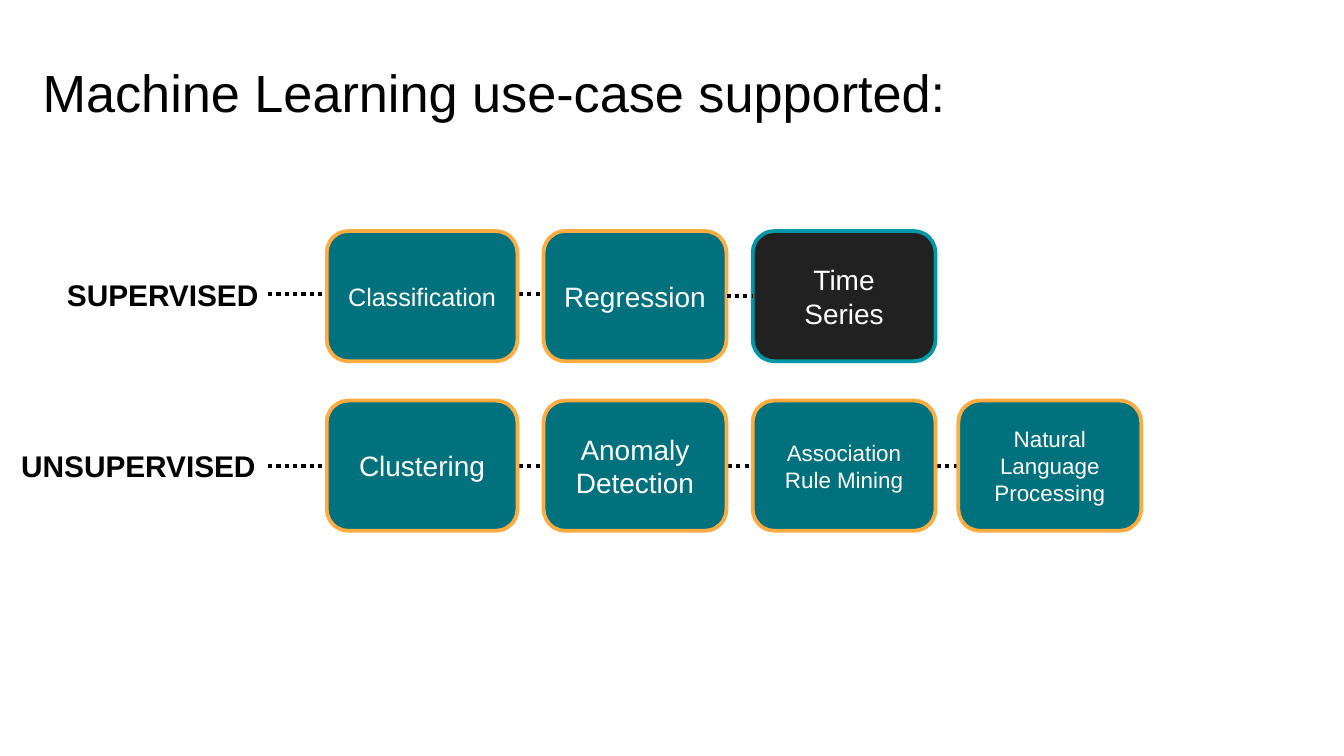
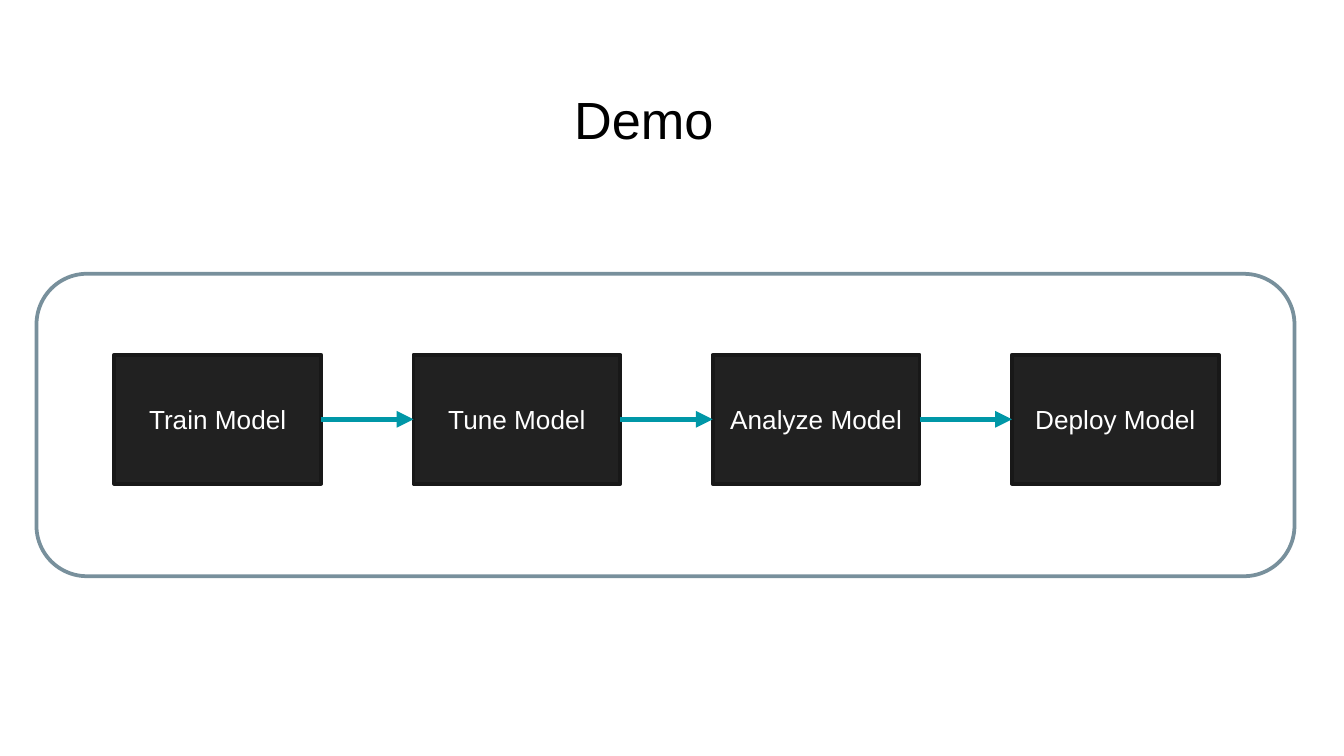
from dataclasses import dataclass

from lxml import etree
from pptx import Presentation
from pptx.dml.color import RGBColor
from pptx.enum import dml, shapes, text
from pptx.oxml import ns
from pptx.shapes.autoshape import Shape
from pptx.shapes.connector import Connector
from pptx.slide import Slide
from pptx.util import Pt

FONT = "Arial"
BLACK = RGBColor(0x00, 0x00, 0x00)
WHITE = RGBColor(0xFF, 0xFF, 0xFF)
TEAL = RGBColor(0x00, 0x71, 0x7D)
CYAN = RGBColor(0x00, 0x97, 0xA7)
ORANGE = RGBColor(0xFF, 0xAB, 0x40)
CHARCOAL = RGBColor(0x21, 0x21, 0x21)
EDGE = RGBColor(0x18, 0x18, 0x18)
SLATE = RGBColor(0x78, 0x90, 0x9C)

ROUND = shapes.MSO_SHAPE.ROUNDED_RECTANGLE
RECT = shapes.MSO_SHAPE.RECTANGLE
LEFT_SIDE, RIGHT_SIDE = 1, 3


@dataclass(frozen=True)
class Area:
    x: float
    y: float
    w: float
    h: float

    def lengths(self) -> list[Pt]:
        return [Pt(v) for v in (self.x, self.y, self.w, self.h)]


@dataclass(frozen=True)
class Look:
    kind: shapes.MSO_SHAPE
    fill: RGBColor | None
    line: RGBColor


@dataclass(frozen=True)
class UseCase:
    name: str
    size: float
    look: Look


@dataclass(frozen=True)
class Family:
    label: str
    label_x: float
    label_w: float
    label_y: float
    top: float
    line_y: float
    line_end: float
    cases: tuple[UseCase, ...]


SUPPORTED = Look(ROUND, TEAL, ORANGE)
UPCOMING = Look(ROUND, CHARCOAL, CYAN)
STEP = Look(RECT, CHARCOAL, EDGE)
FRAME = Look(ROUND, None, SLATE)

COLUMNS = ((175, 102.2), (291.2, 98), (403.2, 98), (513.4, 98))
CASE_H = 69.8
LINE_START = 143.6

SUPERVISED = Family("SUPERVISED", 28.8, 118, 144.7, 123.8, 157.7, 378, (
    UseCase("Classification", 13.5, SUPPORTED),
    UseCase("Regression", 15, SUPPORTED),
    UseCase("Time Series", 15, UPCOMING),
))
UNSUPERVISED = Family("UNSUPERVISED", 4.3, 141.8, 236.2, 214.6, 249.5, 513.4, (
    UseCase("Clustering", 15, SUPPORTED),
    UseCase("Anomaly Detection", 15, SUPPORTED),
    UseCase("Association Rule Mining", 12, SUPPORTED),
    UseCase("Natural Language Processing", 12, SUPPORTED),
))

STEPS = ("Train Model", "Tune Model", "Analyze Model", "Deploy Model")
STEP_X, STEP_PITCH = 61.2, 160.3


def write(sp: Shape, words: str, size: float, color: RGBColor,
          align: text.PP_ALIGN, bold: bool = False) -> None:
    p = sp.text_frame.paragraphs[0]
    p.text = words
    p.alignment = align
    p.font.name = FONT
    p.font.size = Pt(size)
    p.font.bold = bold
    p.font.color.rgb = color


def add_title(s: Slide, words: str, area: Area, align: text.PP_ALIGN) -> None:
    sp = s.shapes.add_textbox(*area.lengths())
    tf = sp.text_frame
    tf.word_wrap = True
    tf.margin_left = tf.margin_right = tf.margin_top = tf.margin_bottom = Pt(7.2)
    write(sp, words, 28, BLACK, align)


def add_label(s: Slide, family: Family) -> None:
    area = Area(family.label_x, family.label_y, family.label_w, 26.6)
    sp = s.shapes.add_textbox(*area.lengths())
    sp.text_frame.word_wrap = False
    sp.text_frame.auto_size = text.MSO_AUTO_SIZE.SHAPE_TO_FIT_TEXT
    write(sp, family.label, 16, BLACK, text.PP_ALIGN.LEFT, bold=True)


def add_box(parent, area: Area, look: Look, words: str = "", size: float = 14) -> Shape:
    sp = parent.shapes.add_shape(look.kind, *area.lengths())
    sp.shadow.inherit = False
    if look.fill is None:
        sp.fill.background()
    else:
        sp.fill.solid()
        sp.fill.fore_color.rgb = look.fill
    sp.line.color.rgb = look.line
    sp.line.width = Pt(2)
    if words:
        sp.text_frame.word_wrap = True
        sp.text_frame.vertical_anchor = text.MSO_ANCHOR.MIDDLE
        write(sp, words, size, WHITE, text.PP_ALIGN.CENTER)
    return sp


def add_line(parent, x1: float, x2: float, y: float, color: RGBColor, width: float) -> Connector:
    cxn = parent.shapes.add_connector(
        shapes.MSO_CONNECTOR.STRAIGHT, Pt(x1), Pt(y), Pt(x2), Pt(y))
    cxn.line.color.rgb = color
    cxn.line.width = Pt(width)
    etree.SubElement(cxn._element.spPr, ns.qn("a:effectLst"))
    return cxn


def add_dots(s: Slide, x1: float, x2: float, y: float) -> Connector:
    cxn = add_line(s, x1, x2, y, BLACK, 2.25)
    cxn.line.dash_style = dml.MSO_LINE.ROUND_DOT
    return cxn


def add_arrow(parent, start: Shape, end: Shape) -> None:
    cxn = add_line(parent, 0, 0, 0, CYAN, 3)
    cxn.begin_connect(start, RIGHT_SIDE)
    cxn.end_connect(end, LEFT_SIDE)
    etree.SubElement(cxn.line._get_or_add_ln(), ns.qn("a:tailEnd"), type="triangle")


def add_cases(s: Slide, family: Family) -> list[Shape]:
    return [
        add_box(s, Area(x, family.top, w, CASE_H), case.look, case.name, case.size)
        for (x, w), case in zip(COLUMNS, family.cases)
    ]


def build_use_cases(s: Slide) -> None:
    families = (SUPERVISED, UNSUPERVISED)
    dots = [add_dots(s, LINE_START, f.line_end, f.line_y) for f in families]
    add_title(s, "Machine Learning use-case supported:",
              Area(15.8, 25.2, 561.6, 45.4), text.PP_ALIGN.LEFT)
    rows = [add_cases(s, f) for f in families]
    for family in families:
        add_label(s, family)
    dots[1].end_connect(rows[1][-1], LEFT_SIDE)
    regression, time_series = rows[0][1:]
    link = add_dots(s, 0, 0, 0)
    link.begin_connect(regression, RIGHT_SIDE)
    link.end_connect(time_series, LEFT_SIDE)


def build_demo(s: Slide) -> None:
    add_title(s, "Demo", Area(238.3, 39.6, 213.1, 45.4), text.PP_ALIGN.CENTER)
    flow = s.shapes.add_group_shape()
    boxes = [
        add_box(flow, Area(STEP_X + i * STEP_PITCH, 190.1, 110.9, 69.1), STEP, name)
        for i, name in enumerate(STEPS)
    ]
    for start, end in zip(boxes, boxes[1:]):
        add_arrow(flow, start, end)
    add_box(s, Area(19.6, 146.7, 673.9, 162), FRAME)


def main() -> None:
    prs = Presentation()
    prs.slide_width, prs.slide_height = Pt(720), Pt(405)
    for build in (build_use_cases, build_demo):
        build(prs.slides.add_slide(prs.slide_layouts[6]))
    prs.save("out.pptx")


if __name__ == "__main__":
    main()
